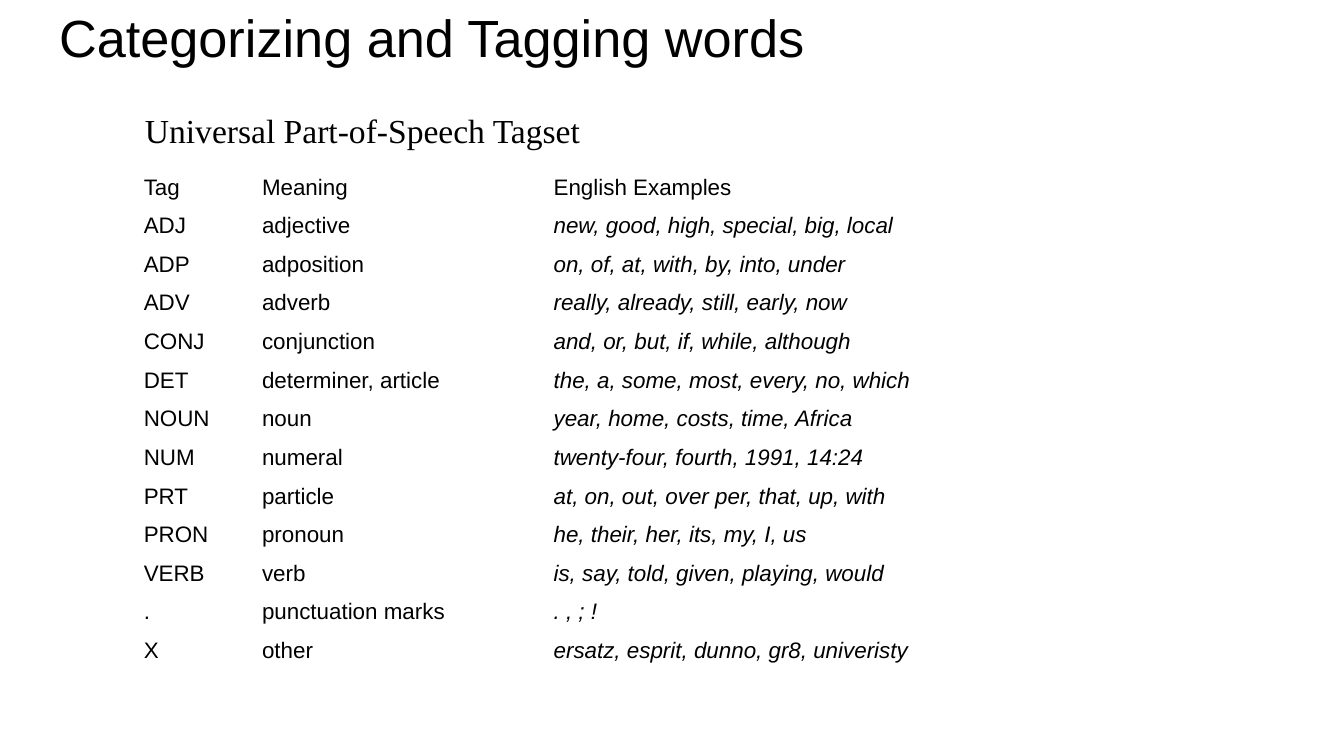
from typing import NamedTuple

from pptx import Presentation, util as u
from pptx.dml.color import RGBColor
from pptx.enum import text
from pptx.oxml import ns

COLORS = {"ink": "000000", "page": "FFFFFF"}
WIDTH = u.Inches(10)
HEIGHT = WIDTH * 9 // 16
LEFT = u.Inches(0.98)
COLUMN_WIDTHS = (0.88, 2.17, 4.98)
TABLE_TOP, TABLE_HEIGHT = u.Inches(1.26), u.Inches(3.74)


class TagRow(NamedTuple):
    tag: str
    meaning: str
    examples: str


TAGSET = [
    TagRow("Tag", "Meaning", "English Examples"),
    TagRow("ADJ", "adjective", "new, good, high, special, big, local"),
    TagRow("ADP", "adposition", "on, of, at, with, by, into, under"),
    TagRow("ADV", "adverb", "really, already, still, early, now"),
    TagRow("CONJ", "conjunction", "and, or, but, if, while, although"),
    TagRow("DET", "determiner, article", "the, a, some, most, every, no, which"),
    TagRow("NOUN", "noun", "year, home, costs, time, Africa"),
    TagRow("NUM", "numeral", "twenty-four, fourth, 1991, 14:24"),
    TagRow("PRT", "particle", "at, on, out, over per, that, up, with"),
    TagRow("PRON", "pronoun", "he, their, her, its, my, I, us"),
    TagRow("VERB", "verb", "is, say, told, given, playing, would"),
    TagRow(".", "punctuation marks", ". , ; !"),
    TagRow("X", "other", "ersatz, esprit, dunno, gr8, univeristy"),
]


def write(frame, words: str, size: float, face: str = "Arial", italic: bool = False) -> None:
    frame.text = words
    line = frame.paragraphs[0]
    line.alignment = text.PP_ALIGN.LEFT
    line.font.size = u.Pt(size)
    line.font.name = face
    line.font.bold = False
    line.font.italic = italic
    line.font.color.rgb = RGBColor.from_string(COLORS["ink"])


def add_heading(slide, words: str) -> None:
    heading = slide.shapes.title
    heading.left, heading.top = u.Inches(0.34), u.Inches(-0.06)
    heading.width, heading.height = u.Inches(9.32), u.Inches(0.63)
    frame = heading.text_frame
    frame.margin_left = frame.margin_right = u.Inches(0.1)
    frame.margin_top = frame.margin_bottom = u.Inches(0.1)
    frame.vertical_anchor = text.MSO_ANCHOR.TOP
    frame.auto_size = text.MSO_AUTO_SIZE.NONE
    write(frame, words, 28)


def add_subheading(slide, words: str) -> None:
    subheading = slide.shapes.add_textbox(
        LEFT, u.Inches(0.77), u.Inches(sum(COLUMN_WIDTHS)), u.Inches(0.39)
    )
    frame = subheading.text_frame
    frame.word_wrap = True
    frame.vertical_anchor = text.MSO_ANCHOR.MIDDLE
    write(frame, words, 18, "Times New Roman")


def clear_borders(cell) -> None:
    properties = cell._tc.get_or_add_tcPr()
    for position, side in enumerate(("a:lnL", "a:lnR", "a:lnT", "a:lnB")):
        border = properties.makeelement(ns.qn(side), {"w": "0"})
        border.append(border.makeelement(ns.qn("a:noFill"), {}))
        properties.insert(position, border)


def add_tagset(slide, rows: list[TagRow]) -> None:
    tagset = slide.shapes.add_table(
        len(rows), len(COLUMN_WIDTHS), LEFT, TABLE_TOP,
        u.Inches(sum(COLUMN_WIDTHS)), TABLE_HEIGHT,
    ).table
    tagset.first_row = tagset.horz_banding = False
    for column, width in zip(tagset.columns, COLUMN_WIDTHS):
        column.width = u.Inches(width)
    for r, row in enumerate(rows):
        tagset.rows[r].height = TABLE_HEIGHT // len(rows)
        for c, words in enumerate(row):
            cell = tagset.cell(r, c)
            cell.fill.solid()
            cell.fill.fore_color.rgb = RGBColor.from_string(COLORS["page"])
            cell.margin_left = cell.margin_right = u.Inches(0.09)
            cell.margin_top = cell.margin_bottom = u.Inches(0.04)
            is_example = r > 0 and c == len(COLUMN_WIDTHS) - 1
            write(cell.text_frame, words, 12, italic=is_example)
            clear_borders(cell)


def main() -> None:
    deck = Presentation()
    deck.slide_width, deck.slide_height = WIDTH, HEIGHT
    slide = deck.slides.add_slide(deck.slide_layouts.get_by_name("Title Only"))
    add_heading(slide, "Categorizing and Tagging words")
    add_tagset(slide, TAGSET)
    add_subheading(slide, "Universal Part-of-Speech Tagset")
    deck.save("out.pptx")


if __name__ == "__main__":
    main()
